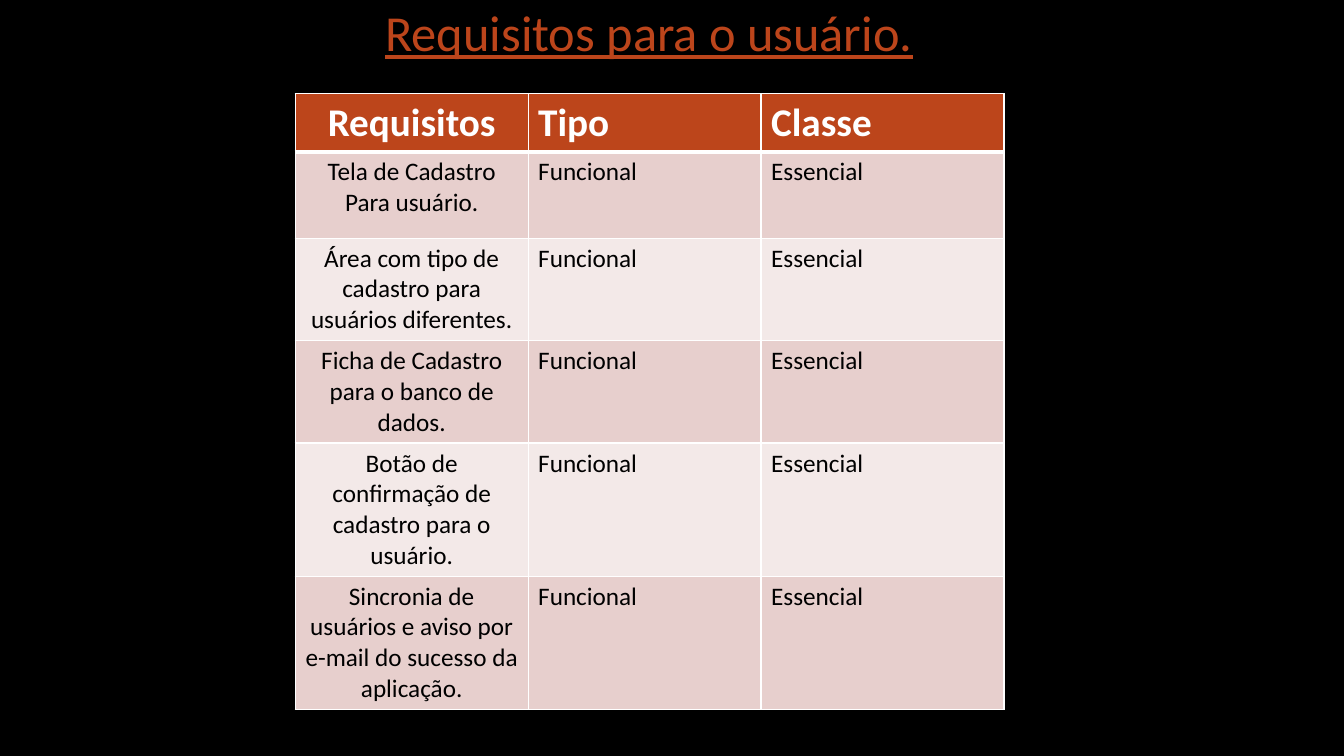
from dataclasses import dataclass

from lxml import etree
from pptx import Presentation
from pptx.dml.color import RGBColor
from pptx.enum import text
from pptx.oxml import ns
from pptx.util import Cm, Pt

TITLE = "Requisitos para o usuário."
HEADERS = ("Requisitos", "Tipo", "Classe")
REQUIREMENTS = [
    "Tela de Cadastro Para usuário.",
    "Área com tipo de cadastro para usuários diferentes.",
    "Ficha de Cadastro para o banco de dados.",
    "Botão de confirmação de cadastro para o usuário.",
    "Sincronia de usuários e aviso por e-mail do sucesso da aplicação.",
]
ROWS = [HEADERS] + [(name, "Funcional", "Essencial") for name in REQUIREMENTS]

COLUMN_WIDTHS = (Cm(5.87), Cm(5.87), Cm(6.12))
HEADER_HEIGHT = Cm(1.04)
BODY_HEIGHT = Cm(2.18)


@dataclass(frozen=True)
class Theme:
    font: str = "Calibri"
    background: str = "000000"
    accent: str = "BC451B"
    header_text: str = "FFFFFF"
    body_text: str = "000000"
    bands: tuple = ("E7CFCD", "F3E9E8")
    border: str = "FFFFFF"
    title_size: int = 36
    header_size: int = 28
    body_size: int = 18


THEME = Theme()


def style_paragraph(paragraph, size, color, centered, bold=False):
    paragraph.alignment = text.PP_ALIGN.CENTER if centered else text.PP_ALIGN.LEFT
    font = paragraph.font
    font.name = THEME.font
    font.size = Pt(size)
    font.bold = bold
    font.color.rgb = RGBColor.from_string(color)


def set_borders(cell, widths):
    """Draw the cell's edges; widths maps L, R, T and B to points."""
    properties = cell._tc.get_or_add_tcPr()
    for position, (side, points) in enumerate(widths.items()):
        line = etree.Element(ns.qn(f"a:ln{side}"), w=str(Pt(points)))
        fill = etree.SubElement(line, ns.qn("a:solidFill"))
        etree.SubElement(fill, ns.qn("a:srgbClr"), val=THEME.border)
        properties.insert(position, line)


def add_title(slide):
    title = slide.shapes.title
    title.left, title.top, title.width, title.height = Cm(1.98), Cm(0), Cm(28.75), Cm(1.6)
    frame = title.text_frame
    frame.text = TITLE
    frame.auto_size = text.MSO_AUTO_SIZE.NONE
    frame.vertical_anchor = text.MSO_ANCHOR.MIDDLE
    paragraph = frame.paragraphs[0]
    style_paragraph(paragraph, THEME.title_size, THEME.accent, centered=True)
    paragraph.font.underline = True


def add_requirements_table(slide):
    heights = [HEADER_HEIGHT] + [BODY_HEIGHT] * len(REQUIREMENTS)
    table = slide.shapes.add_table(
        len(ROWS), len(HEADERS), Cm(7.44), Cm(2.36), sum(COLUMN_WIDTHS), sum(heights)
    ).table
    for column, width in zip(table.columns, COLUMN_WIDTHS):
        column.width = width
    for row, height in zip(table.rows, heights):
        row.height = height

    for row_index, values in enumerate(ROWS):
        is_header = row_index == 0
        fill = THEME.accent if is_header else THEME.bands[(row_index - 1) % 2]
        size = THEME.header_size if is_header else THEME.body_size
        color = THEME.header_text if is_header else THEME.body_text
        borders = {"L": 1, "R": 1, "T": 3 if row_index == 1 else 1, "B": 3 if is_header else 1}
        for column_index, value in enumerate(values):
            cell = table.cell(row_index, column_index)
            cell.text = value
            cell.fill.solid()
            cell.fill.fore_color.rgb = RGBColor.from_string(fill)
            style_paragraph(cell.text_frame.paragraphs[0], size, color,
                            centered=column_index == 0, bold=is_header)
            set_borders(cell, borders)


def main():
    presentation = Presentation()
    presentation.slide_width, presentation.slide_height = Cm(33.87), Cm(19.05)
    slide = presentation.slides.add_slide(presentation.slide_layouts.get_by_name("Title Only"))
    background = slide.background.fill
    background.solid()
    background.fore_color.rgb = RGBColor.from_string(THEME.background)
    add_title(slide)
    add_requirements_table(slide)
    presentation.save("out.pptx")


if __name__ == "__main__":
    main()
